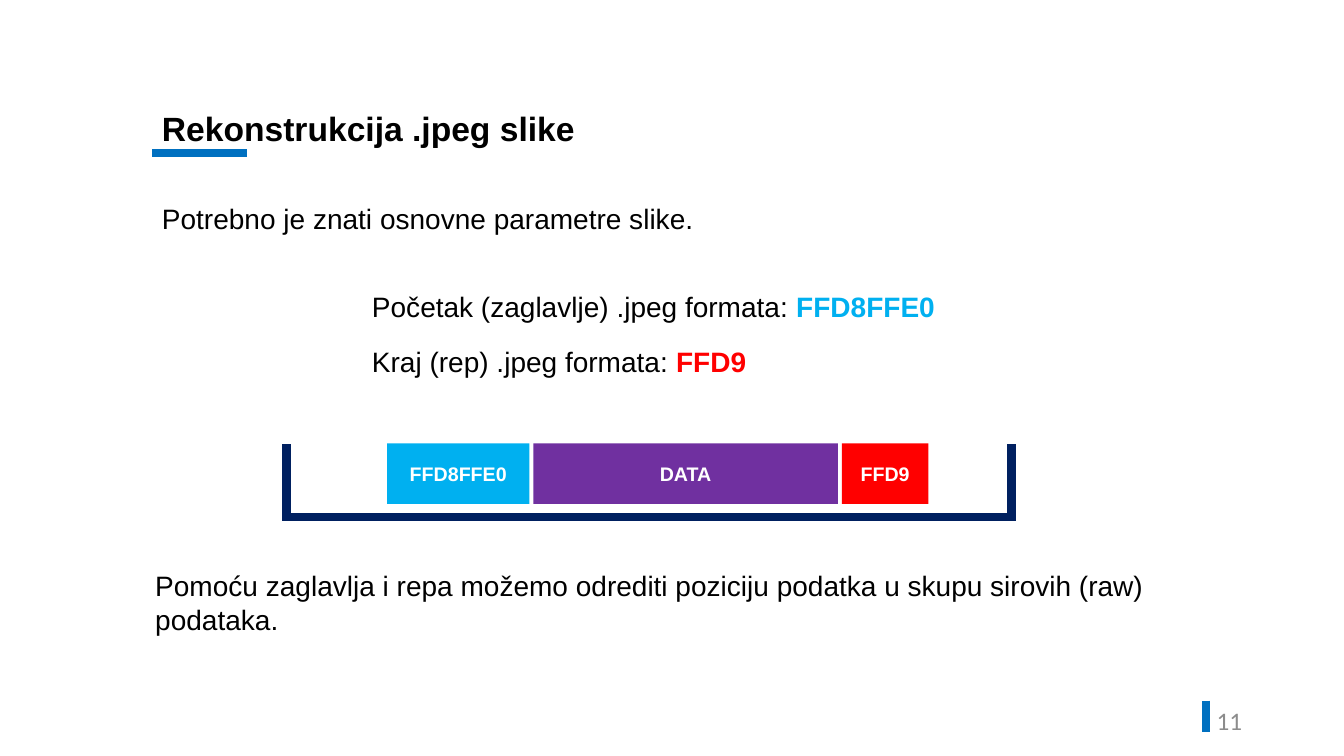
from dataclasses import dataclass

from lxml import etree
from pptx import Presentation
from pptx.dml.color import RGBColor
from pptx.enum.shapes import MSO_CONNECTOR, MSO_SHAPE
from pptx.enum.text import MSO_ANCHOR, PP_ALIGN
from pptx.oxml.ns import qn
from pptx.util import Inches, Pt

RECTANGLE = MSO_SHAPE.RECTANGLE
STRAIGHT = MSO_CONNECTOR.STRAIGHT
TOP, MIDDLE = MSO_ANCHOR.TOP, MSO_ANCHOR.MIDDLE
LEFT, CENTER, RIGHT = PP_ALIGN.LEFT, PP_ALIGN.CENTER, PP_ALIGN.RIGHT

# Grid that covers the whole slide
COLUMNS, ROWS = 160, 90


@dataclass(frozen=True)
class Theme:
    font: str = "Arial"
    number_font: str = "Calibri"
    text: str = "000000"
    inverse: str = "FFFFFF"
    muted: str = "8C8C8C"
    accent: str = "0070C0"
    header: str = "00B0F0"
    data: str = "7030A0"
    footer: str = "FF0000"
    frame: str = "002060"
    title_size: int = 24
    body_size: int = 20
    number_size: int = 18
    block_size: int = 14
    line_width: int = 6


class SlideBuilder:
    """Holds the theme and the slide; positions are in columns and rows."""

    def __init__(self, presentation, theme):
        self.theme = theme
        self.column = presentation.slide_width / COLUMNS
        self.row = presentation.slide_height / ROWS
        self.slide = presentation.slides.add_slide(presentation.slide_layouts[6])

    def place(self, column, row):
        return round(column * self.column), round(row * self.row)

    def style(self, paragraph, size, color, bold=False, font=None, align=LEFT):
        paragraph.alignment = align
        paragraph.font.name = font or self.theme.font
        paragraph.font.size = Pt(size)
        paragraph.font.bold = bold
        paragraph.font.color.rgb = RGBColor.from_string(color)

    def text(self, content, left, top, width, height, size=None, color=None,
             anchor=TOP, highlight=None, **style):
        box = self.slide.shapes.add_textbox(*self.place(left, top),
                                            *self.place(width, height))
        frame = box.text_frame
        frame.word_wrap = True
        frame.vertical_anchor = anchor
        paragraph = frame.paragraphs[0]
        paragraph.add_run().text = content
        self.style(paragraph, size or self.theme.body_size,
                   color or self.theme.text, **style)
        if highlight:
            signature, signature_color = highlight
            run = paragraph.add_run()
            run.text = signature
            run.font.bold = True
            run.font.color.rgb = RGBColor.from_string(signature_color)

    def block(self, label, left, top, width, height, color):
        block = self.slide.shapes.add_shape(RECTANGLE, *self.place(left, top),
                                            *self.place(width, height))
        block.shadow.inherit = False
        block.fill.solid()
        block.fill.fore_color.rgb = RGBColor.from_string(color)
        block.line.fill.background()
        block.text_frame.vertical_anchor = MIDDLE
        paragraph = block.text_frame.paragraphs[0]
        paragraph.text = label
        self.style(paragraph, self.theme.block_size, self.theme.inverse,
                   bold=True, align=CENTER)

    def line(self, start, end, color):
        line = self.slide.shapes.add_connector(STRAIGHT, *self.place(*start),
                                               *self.place(*end))
        line.line.color.rgb = RGBColor.from_string(color)
        line.line.width = Pt(self.theme.line_width)
        etree.SubElement(line._element.spPr, qn("a:effectLst"))


def main():
    presentation = Presentation()
    presentation.slide_width = Inches(13.33)
    presentation.slide_height = Inches(7.5)
    theme = Theme()
    slide = SlideBuilder(presentation, theme)
    margin = 18.1

    # Slide number with its bar
    slide.text("11", 113.05, 83.4, 36, 4.8, theme.number_size, theme.muted,
               anchor=MIDDLE, font=theme.number_font, align=RIGHT)
    slide.line((143.55, 83.4), (143.55, 87.1), theme.accent)

    # Title with its underline
    slide.text("Rekonstrukcija .jpeg slike", margin, 12.25, 107.5, 6,
               theme.title_size, bold=True)
    slide.line((margin, 18.25), (29.4, 18.25), theme.accent)

    # Introduction and conclusion
    slide.text("Potrebno je znati osnovne parametre slike.",
               margin, 23.4, 125.4, 5.3)
    slide.text("Pomoću zaglavlja i repa možemo odrediti poziciju podatka "
               "u skupu sirovih (raw) podataka.", 17.3, 67.1, 125.4, 9.25)

    # Signatures that open and close the file
    header, footer = ("FFD8FFE0", theme.header), ("FFD9", theme.footer)
    signatures = [("Početak (zaglavlje) .jpeg formata: ", header),
                  ("Kraj (rep) .jpeg formata: ", footer)]
    for index, (description, signature) in enumerate(signatures):
        slide.text(description, 43.1, 33.85 + index * 6.6, 83.9, 5.3,
                   highlight=signature)

    # File layout: header, data and footer in a row
    file_top, file_height, gap = 52.8, 7.2, 0.48
    left = 46.1
    parts = [(header, 16.92), (("DATA", theme.data), 36.24), (footer, 10.32)]
    for (label, color), width in parts:
        slide.block(label, left, file_top, width, file_height, color)
        left += width + gap

    # Open frame around the file
    frame_bottom = 61.56
    slide.line((33.6, frame_bottom), (121, frame_bottom), theme.frame)
    for side in (34.1, 120.4):
        slide.line((side, frame_bottom), (side, file_top), theme.frame)

    presentation.save("out.pptx")


if __name__ == "__main__":
    main()
